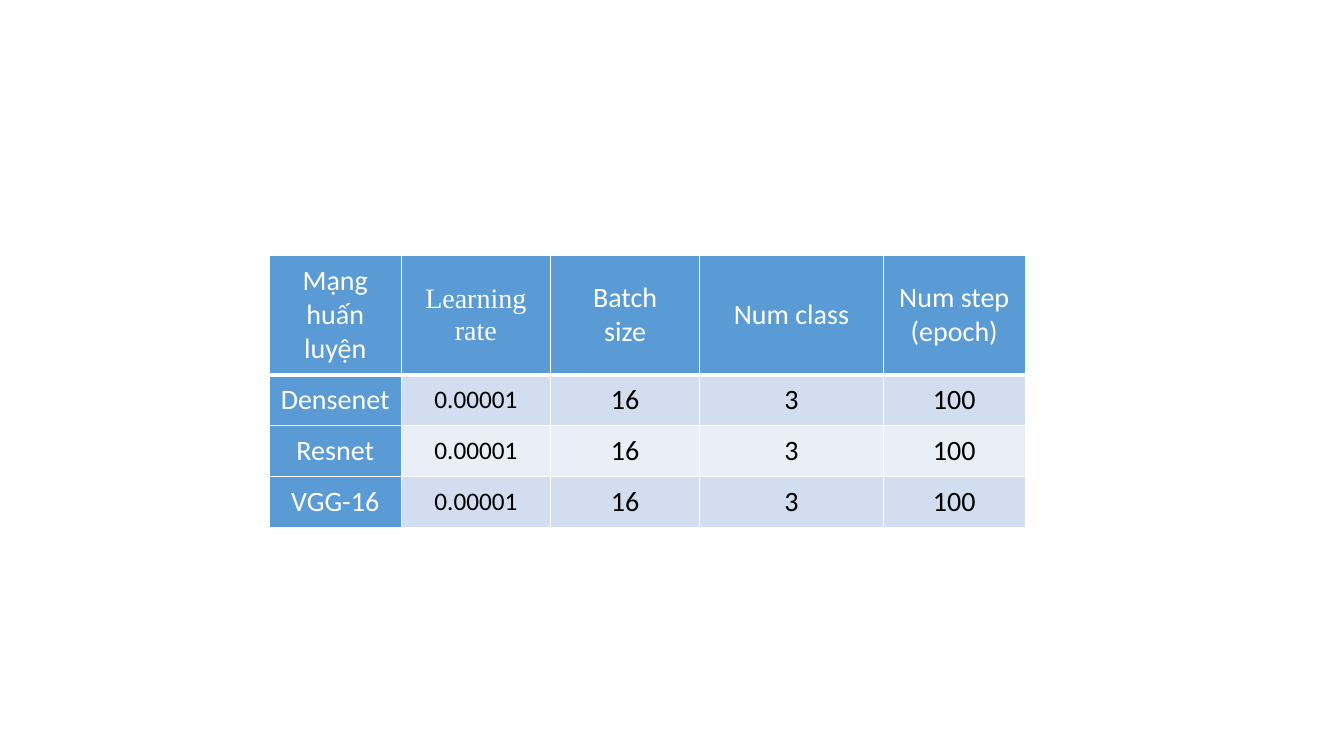
from dataclasses import dataclass

from lxml import etree
from pptx import Presentation
from pptx.dml.color import RGBColor
from pptx.enum.text import MSO_ANCHOR, PP_ALIGN
from pptx.oxml.ns import qn
from pptx.util import Inches, Pt

MIDDLE = MSO_ANCHOR.MIDDLE
CENTER = PP_ALIGN.CENTER
BLANK_LAYOUT = 6


@dataclass(frozen=True)
class Theme:
    """Colours, fonts and sizes of the slide."""
    accent: str = "5B9BD5"
    bands: tuple = ("D2DEEF", "EAEFF7")
    light: str = "FFFFFF"
    dark: str = "000000"
    font: str = "Calibri"
    serif_font: str = "Times New Roman"
    size: int = 20
    rate_size: int = 18
    border: int = 1
    header_border: int = 3


THEME = Theme()
HEADERS = ["Mạng huấn luyện", "Learning rate", "Batch\nsize", "Num class", "Num step (epoch)"]
NETWORKS = ["Densenet", "Resnet", "VGG-16"]
SETTINGS = ["0.00001", "16", "3", "100"]
RATE_COLUMN = 1
TABLE_BOX = (2.67, 2.53, 7.49, 2.7)
COLUMN_WIDTHS = [1.31, 1.48, 1.48, 1.82, 1.41]
HEADER_HEIGHT = 1.19


def set_borders(cell, bottom_width):
    """Draw light lines on the four sides of a cell."""
    properties = cell._tc.get_or_add_tcPr()
    widths = {"a:lnL": THEME.border, "a:lnR": THEME.border,
              "a:lnT": THEME.border, "a:lnB": bottom_width}
    for index, (side, width) in enumerate(widths.items()):
        line = etree.Element(qn(side), w=str(Pt(width)))
        fill = etree.SubElement(line, qn("a:solidFill"))
        etree.SubElement(fill, qn("a:srgbClr"), val=THEME.light)
        properties.insert(index, line)


def format_cell(cell, text, fill, color, size, font, bottom_width):
    """Fill one cell and set its text, centred both ways."""
    cell.fill.solid()
    cell.fill.fore_color.rgb = RGBColor.from_string(fill)
    cell.vertical_anchor = MIDDLE
    cell.margin_left = cell.margin_right = Inches(0.07)
    cell.margin_top = cell.margin_bottom = 0
    set_borders(cell, bottom_width)
    cell.text_frame.text = text
    for paragraph in cell.text_frame.paragraphs:
        paragraph.alignment = CENTER
        for run in paragraph.runs:
            run.font.size = Pt(size)
            run.font.name = font
            run.font.bold = False
            run.font.color.rgb = RGBColor.from_string(color)


def add_training_table(slide, left, top, width, height):
    """Add the table of training settings in the given box."""
    rows = [HEADERS] + [[network] + SETTINGS for network in NETWORKS]
    frame = slide.shapes.add_table(len(rows), len(HEADERS), Inches(left), Inches(top),
                                   Inches(width), Inches(height))
    table = frame.table
    table.first_col = True
    for column, column_width in zip(table.columns, COLUMN_WIDTHS):
        column.width = Inches(column_width)
    body_height = (height - HEADER_HEIGHT) / len(NETWORKS)
    for row_index, texts in enumerate(rows):
        is_header = row_index == 0
        table.rows[row_index].height = Inches(HEADER_HEIGHT if is_header else body_height)
        for column_index, text in enumerate(texts):
            is_label = is_header or column_index == 0
            is_rate = column_index == RATE_COLUMN
            format_cell(
                table.cell(row_index, column_index),
                text,
                fill=THEME.accent if is_label else THEME.bands[(row_index - 1) % 2],
                color=THEME.light if is_label else THEME.dark,
                size=THEME.rate_size if is_rate and not is_header else THEME.size,
                font=THEME.serif_font if is_rate and is_header else THEME.font,
                bottom_width=THEME.header_border if is_header else THEME.border,
            )


def main():
    """Build the slide and save the presentation."""
    presentation = Presentation()
    presentation.slide_width = Inches(13.33)
    presentation.slide_height = Inches(7.5)
    slide = presentation.slides.add_slide(presentation.slide_layouts[BLANK_LAYOUT])
    add_training_table(slide, *TABLE_BOX)
    presentation.save("out.pptx")


if __name__ == "__main__":
    main()
